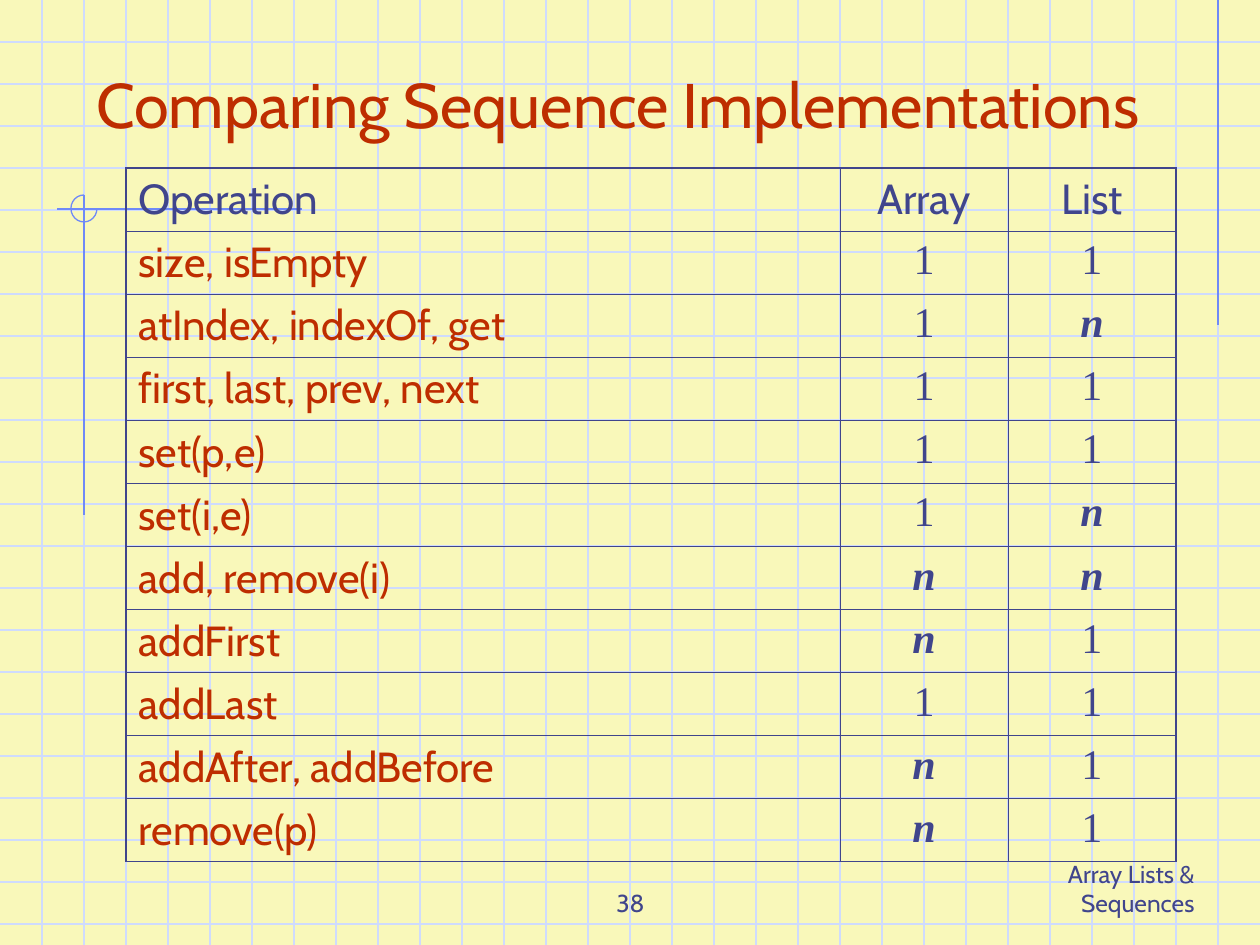
from lxml.etree import SubElement
from pptx import Presentation
from pptx.dml.color import RGBColor
from pptx.enum.shapes import MSO_CONNECTOR, MSO_SHAPE
from pptx.enum.text import MSO_ANCHOR, PP_ALIGN
from pptx.oxml.ns import qn
from pptx.util import Pt

PX = 914400 / 126
WIDTH, HEIGHT, GRID = 1260, 945, 42
NAVY, RED, PALE_BLUE, BLUE = "40458C", "BE2D00", "CFDBFD", "6F89F7"


def px(*lengths):
    """Turn px lengths into a list of EMU values."""
    return [round(length * PX) for length in lengths]


def paint(color_format, color):
    color_format.rgb = RGBColor.from_string(color)


deck = Presentation()
deck.slide_width, deck.slide_height = px(WIDTH, HEIGHT)
page = deck.slides.add_slide(deck.slide_layouts[6])
page.background.fill.solid()
paint(page.background.fill.fore_color, "F9F8BA")

# Graph paper, then the blue accent lines
lines = [(0, y, WIDTH, y, PALE_BLUE) for y in range(GRID, HEIGHT, GRID)]
lines += [(x, 0, x, HEIGHT, PALE_BLUE) for x in range(GRID, WIDTH, GRID)]
lines += [
    (1218, 0, 1218, 325, BLUE),
    (302, 209, 57, 209, BLUE),
    (84, 195, 84, 515, BLUE),
]
for *ends, color in lines:
    line = page.shapes.add_connector(MSO_CONNECTOR.STRAIGHT, *px(*ends))
    paint(line.line.color, color)
    line.line.width = Pt(0.75)
    SubElement(line._element.spPr, qn("a:effectLst"))

# Three quarters of a circle, clockwise from the right to the top
arc = page.shapes.add_shape(MSO_SHAPE.ARC, *px(71, 195, 26, 27))
arc.adjustments[0] = 0
arc.adjustments[1] = 270 * 0.6
arc.shadow.inherit = False
arc.fill.background()
paint(arc.line.color, BLUE)
arc.line.width = Pt(0.75)

texts = [
    ("Array Lists & Sequences", (945, 861, 262, 63), PP_ALIGN.RIGHT, 14, NAVY),
    ("38", (431, 861, 399, 63), PP_ALIGN.CENTER, 14, NAVY),
    ("Comparing Sequence Implementations", (84, 42, 1113, 105), PP_ALIGN.LEFT, 36, RED),
]
for text, place, align, size, color in texts:
    frame = page.shapes.add_textbox(*px(*place)).text_frame
    frame.word_wrap = True
    frame.vertical_anchor = MSO_ANCHOR.BOTTOM
    para = frame.paragraphs[0]
    para.text = text
    para.alignment = align
    para.font.name = "Cabin"
    para.font.size = Pt(size)
    paint(para.font.color, color)

rows = [
    ("Operation", "Array", "List"),
    ("size, isEmpty", "1", "1"),
    ("atIndex, indexOf, get", "1", "n"),
    ("first, last, prev, next", "1", "1"),
    ("set(p,e)", "1", "1"),
    ("set(i,e)", "1", "n"),
    ("add, remove(i)", "n", "n"),
    ("addFirst", "n", "1"),
    ("addLast", "1", "1"),
    ("addAfter, addBefore", "n", "1"),
    ("remove(p)", "n", "1"),
]
column_widths = px(714, 168, 168)
last_row, last_column = len(rows) - 1, len(column_widths) - 1
table = page.shapes.add_table(
    len(rows), len(column_widths), *px(126, 168, 1050, 63 * len(rows))
).table
table.first_row = table.horz_banding = False
for column, width in zip(table.columns, column_widths):
    column.width = width

for r, row in enumerate(rows):
    for c, text in enumerate(row):
        cell = table.cell(r, c)
        para = cell.text_frame.paragraphs[0]
        para.text = text
        para.alignment = PP_ALIGN.CENTER if c else PP_ALIGN.LEFT
        is_cost = r > 0 and c > 0
        para.font.name = "Times New Roman" if is_cost else "Cabin"
        para.font.size = Pt(24)
        para.font.bold = para.font.italic = is_cost and text == "n"
        paint(para.font.color, RED if r and not c else NAVY)

        # Outer edges are heavier than inner ones
        properties = cell._tc.get_or_add_tcPr()
        edges = {"L": c == 0, "R": c == last_column, "T": r == 0, "B": r == last_row}
        for side, is_outer in edges.items():
            width = Pt(1.08 if is_outer else 0.45)
            border = SubElement(properties, qn(f"a:ln{side}"), w=str(width))
            fill = SubElement(border, qn("a:solidFill"))
            SubElement(fill, qn("a:srgbClr"), val=NAVY)
        cell.fill.background()

deck.save("out.pptx")
